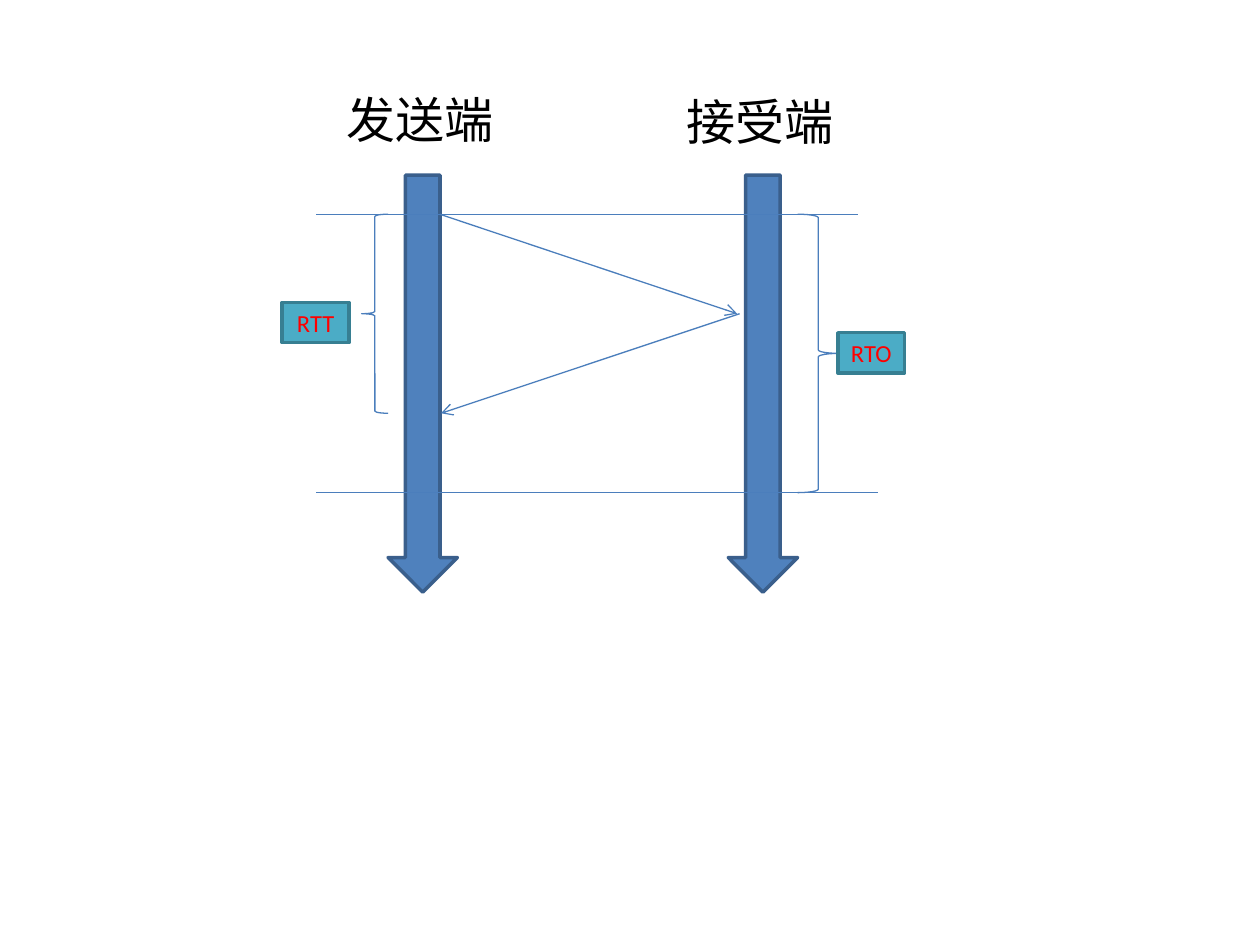
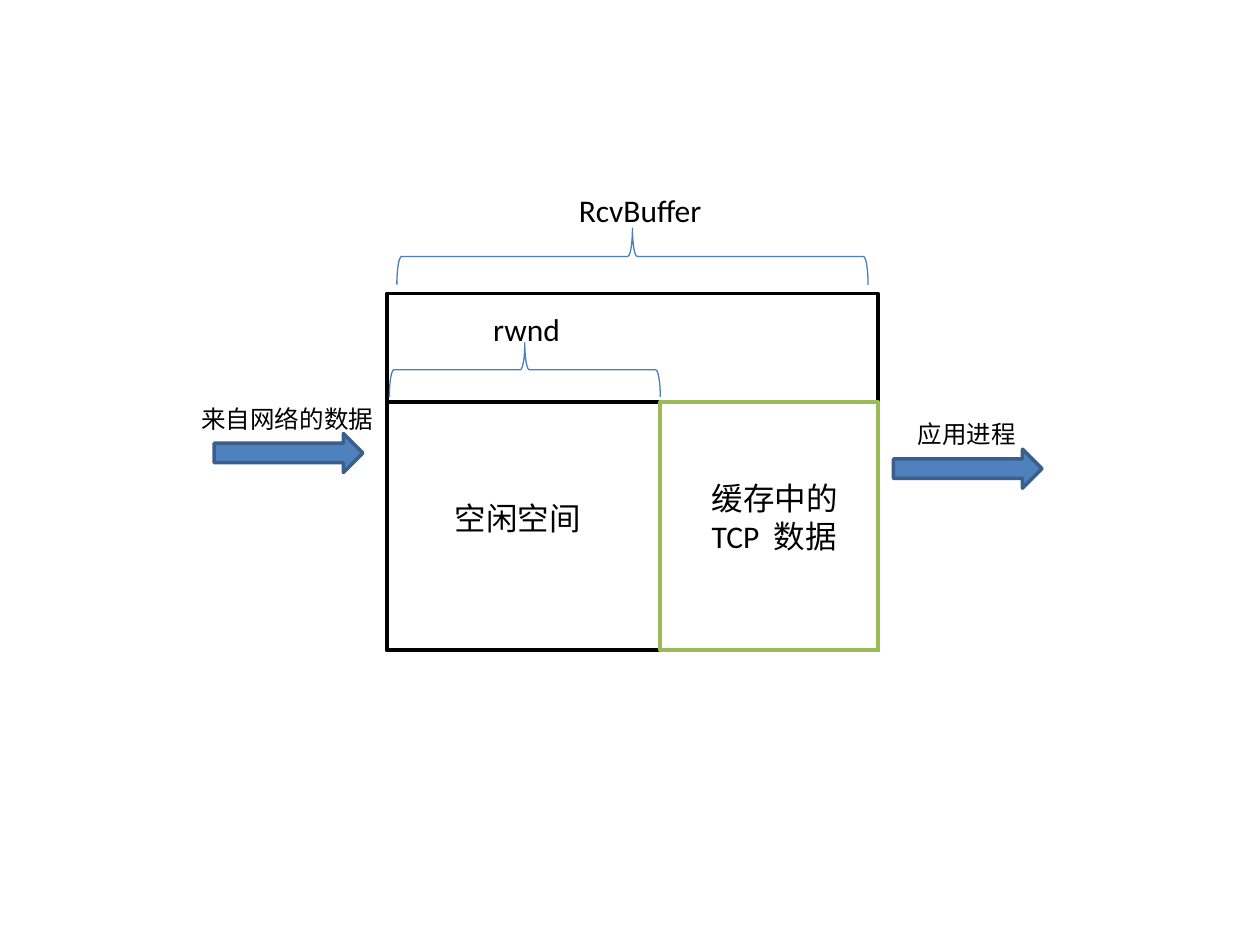
from collections import namedtuple
from pptx import Presentation
from pptx.dml.color import RGBColor
from pptx.enum.shapes import MSO_CONNECTOR, MSO_SHAPE
from pptx.enum.text import MSO_ANCHOR, PP_ALIGN
from pptx.oxml.ns import qn
from pptx.util import Inches, Pt
from lxml.etree import SubElement

BLUE = RGBColor(0x4F, 0x81, 0xBD)
NAVY = RGBColor(0x3A, 0x5F, 0x8C)
THIN = RGBColor(0x4B, 0x7E, 0xBC)
TEAL = RGBColor(0x4B, 0xAC, 0xC6)
DEEP = RGBColor(0x37, 0x7F, 0x92)
GREEN = RGBColor(0x9B, 0xBB, 0x59)
RED = RGBColor(0xFF, 0, 0)
BLACK = RGBColor(0, 0, 0)
WHITE = RGBColor(0xFF, 0xFF, 0xFF)
FONT = "Calibri"
LEFT, MID = PP_ALIGN.LEFT, PP_ALIGN.CENTER

Box = namedtuple("Box", "left top wide high cols rows")


def spot(box, col, row):
    return (Inches(box.left + col * box.wide / box.cols),
            Inches(box.top + row * box.high / box.rows))


def area(box, col, row, cols, rows):
    x, y = spot(box, col, row)
    right, low = spot(box, col + cols, row + rows)
    return x, y, right - x, low - y


def style(item, values):
    for name, value in values.items():
        setattr(item, name, value)


def stroke(item, tint, width):
    item.line.color.rgb = tint
    item.line.width = Pt(width)


def write(item, words, size, tint=BLACK, align=LEFT, anchor=MSO_ANCHOR.TOP):
    frame = item.text_frame
    style(frame, {"word_wrap": True, "vertical_anchor": anchor})
    par = frame.paragraphs[0]
    par.alignment = align
    run = par.add_run()
    run.text = words
    style(run.font, {"name": FONT, "size": Pt(size)})
    run.font.color.rgb = tint


def label(slide, box, cell, words, size, align=LEFT):
    write(slide.shapes.add_textbox(*area(box, *cell)), words, size, align=align)


def block(slide, box, cell, kind, fill, edge):
    item = slide.shapes.add_shape(kind, *area(box, *cell))
    item.shadow.inherit = False
    item.fill.solid()
    item.fill.fore_color.rgb = fill
    stroke(item, edge, 2)
    return item


def brace(slide, box, cell, kind, turn=0):
    x, y, wide, high = area(box, *cell)
    if turn:
        x, y = x + (wide - high) // 2, y + (high - wide) // 2
        wide, high = high, wide
    item = slide.shapes.add_shape(kind, x, y, wide, high)
    item.shadow.inherit = False
    item.fill.background()
    item.rotation = turn
    stroke(item, THIN, 0.75)


def line(slide, box, start, end, tip=False):
    item = slide.shapes.add_connector(
        MSO_CONNECTOR.STRAIGHT, *spot(box, *start), *spot(box, *end))
    stroke(item, THIN, 0.75)
    if tip:
        SubElement(item.line._get_or_add_ln(), qn("a:tailEnd"), type="arrow")
    SubElement(item._element.spPr, qn("a:effectLst"))


def tag(slide, box, col, row, words):
    item = block(slide, box, (col, row, 5.3, 3.2), MSO_SHAPE.RECTANGLE, TEAL, DEEP)
    style(item.text_frame, {"margin_left": 0, "margin_right": 0})
    write(item, words, 14, RED, MID, MSO_ANCHOR.MIDDLE)


def timing(slide, box):
    sent, heard, reply, limit = 11, 18.9, 26.8, 33.1
    for col, words, row in ((8.8, "发送端", 0.6), (35.8, "接受端", 0.8)):
        block(slide, box, (col, 7.9, 5.5, 33.1), MSO_SHAPE.DOWN_ARROW, BLUE, NAVY)
        label(slide, box, (col - 4.3, row, 14.3, 5.7), words, 28)
    line(slide, box, (12.9, sent), (36.5, heard), True)
    line(slide, box, (36.7, heard), (13, reply), True)
    brace(slide, box, (6.7, sent, 2.1, reply - sent), MSO_SHAPE.LEFT_BRACE)
    tag(slide, box, 0.4, 18, "RTT")
    brace(slide, box, (41.3, sent, 3.3, limit - sent), MSO_SHAPE.RIGHT_BRACE)
    for row, end in ((limit, 47.7), (sent, 46.1)):
        line(slide, box, (3.1, row), (end, row))
    tag(slide, box, 44.5, 20.4, "RTO")


def flow(slide, box, col, row, words, align):
    block(slide, box, (col + 2, row + 2.85, 11.8, 3.1),
          MSO_SHAPE.RIGHT_ARROW, BLUE, NAVY)
    label(slide, box, (col, row, 15.7, 3.5), words, 14, align)


def buffer(slide, box):
    edge, split, end = 15.7, 37.4, 54.7
    top, mid, low = 9.3, 17.9, 37.6
    flow(slide, box, 0, 17.55, "来自网络的数据", LEFT)
    for left, right, row, tint in ((edge, end, top, BLACK),
                                   (edge, split, mid, BLACK),
                                   (split, end, mid, GREEN)):
        block(slide, box, (left, row, right - left, low - row),
              MSO_SHAPE.RECTANGLE, WHITE, tint)
    for cell in ((16.5, 4.1, 37.4, 4.5), (15.9, 13.2, 21.5, 4.3)):
        brace(slide, box, cell, MSO_SHAPE.RIGHT_BRACE, 270)
    for cell, words, align in (
            ((23.2, 0.7, 25.2, 4), "RcvBuffer", MID),
            ((20.1, 10.1, 13.4, 4), "rwnd", MID),
            ((20.1, 25.1, 13.4, 4), "空闲空间", LEFT),
            ((40.5, 23.5, 14.2, 7.1), "缓存中的TCP  数据", LEFT)):
        label(slide, box, cell, words, 18, align)
    flow(slide, box, 53.9, 18.8, "应用进程", MID)


deck = Presentation()
style(deck, {"slide_width": Inches(10), "slide_height": Inches(7.5)})
for draw, box in ((timing, Box(2.2, 0.6, 5, 4.2, 50, 42)),
                  (buffer, Box(1.5, 1.4, 7, 3.8, 70, 38))):
    draw(deck.slides.add_slide(deck.slide_layouts[6]), box)
deck.save("out.pptx")
